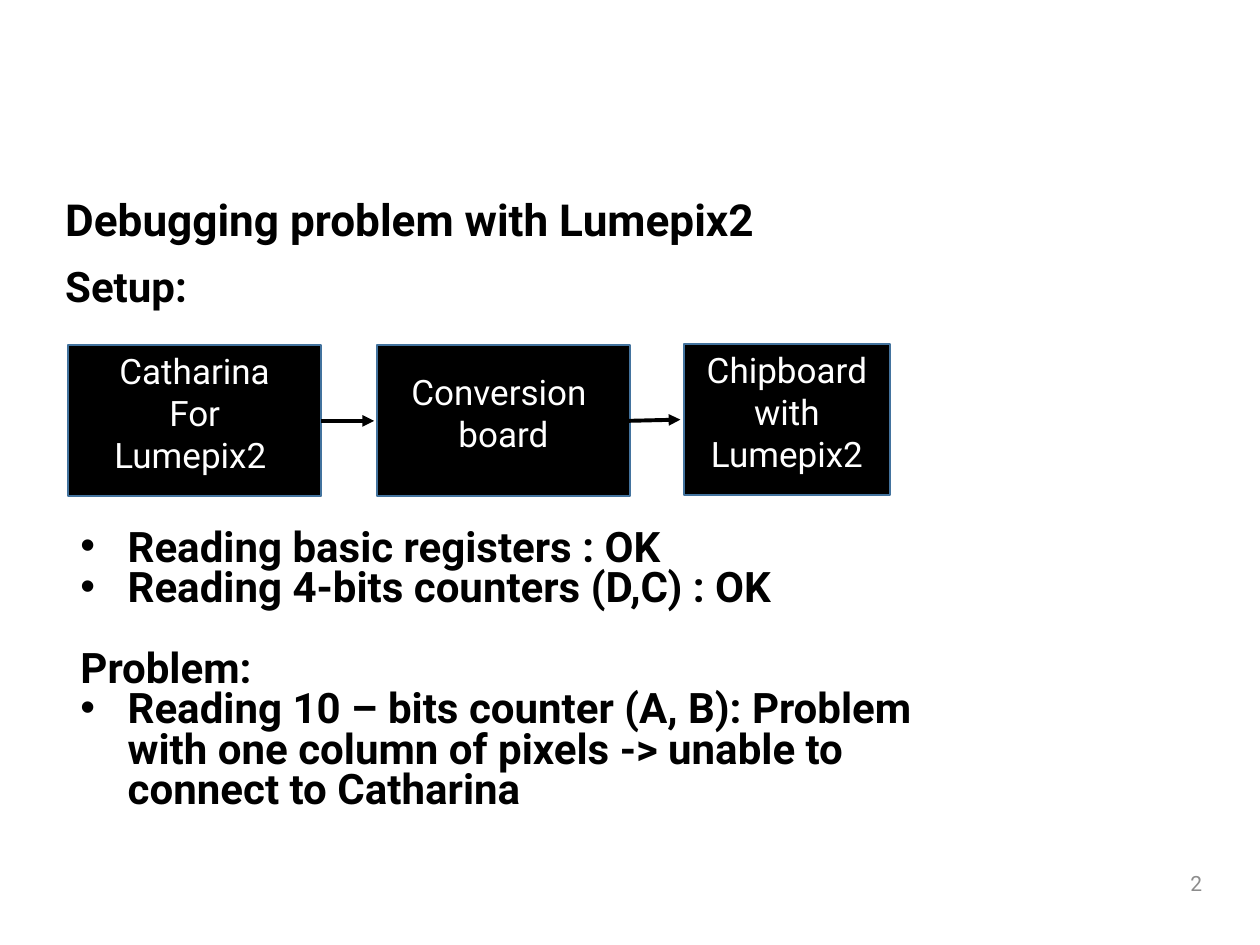
from typing import NamedTuple

from lxml.etree import SubElement
from pptx import Presentation
from pptx.dml.color import RGBColor
from pptx.enum.shapes import MSO_CONNECTOR as Conn, MSO_SHAPE as Shape
from pptx.enum.text import MSO_ANCHOR as Anchor, PP_ALIGN as Align
from pptx.oxml.ns import qn
from pptx.util import Pt

BLACK = RGBColor(0x00, 0x00, 0x00)
WHITE = RGBColor(0xFF, 0xFF, 0xFF)
GRAY = RGBColor(0x8C, 0x8C, 0x8C)
BORDER = RGBColor(0x43, 0x73, 0x9E)
FONT = "Roboto"
INDENT = 27


class Rect(NamedTuple):
    x: float
    y: float
    w: float
    h: float


class Para(NamedTuple):
    text: str
    bullet: bool = False
    before: float = 0


class Block(NamedTuple):
    rect: Rect
    paras: list[Para]
    size: float
    spacing: float = 1.0
    color: RGBColor = BLACK
    bold: bool = True
    align: Align = Align.LEFT
    anchor: Anchor = Anchor.TOP


class Stage(NamedTuple):
    rect: Rect
    lines: list[str]


class Arrow(NamedTuple):
    x1: float
    y1: float
    x2: float
    y2: float


# Slide content
BLOCKS = [
    Block(Rect(532, 490.3, 162, 28.8), [Para("2")], 12, color=GRAY,
          bold=False, align=Align.RIGHT, anchor=Anchor.MIDDLE),
    Block(Rect(30.2, 114.5, 457.2, 48.2),
          [Para("Debugging problem with Lumepix2")], 25.2, 0.7),
    Block(Rect(30.2, 148.3, 457.2, 48.2), [Para("Setup:")], 24, 0.9),
    Block(Rect(38.9, 299.5, 531.4, 201.6), [
        Para("Reading basic registers : OK", True),
        Para("Reading 4-bits counters (D,C) : OK", True),
        Para("Problem:", before=23),
        Para("Reading 10 – bits counter (A, B): Problem with one column "
             "of pixels -> unable to connect to Catharina", True),
    ], 24, 0.8),
]
STAGES = [
    Stage(Rect(38.9, 197.3, 144.7, 86.4), ["Catharina", "For", "Lumepix2 "]),
    Stage(Rect(215.3, 197.3, 144.7, 86.4), ["Conversion ", "board"]),
    Stage(Rect(391, 196.6, 117.4, 86.4), ["Chipboard", "with", "Lumepix2"]),
]
ARROWS = [Arrow(183.6, 240.5, 213.8, 240.5), Arrow(358.6, 240.5, 388.8, 239.8)]


def set_attrs(obj, values: dict) -> None:
    for name, value in values.items():
        setattr(obj, name, value)


def add_run(p, text: str, size: float, color: RGBColor, bold: bool) -> None:
    r = p.add_run()
    r.text = text
    set_attrs(r.font, {"name": FONT, "size": Pt(size), "bold": bold})
    r.font.color.rgb = color


def add_bullet(p) -> None:
    pPr = p._p.get_or_add_pPr()
    pPr.set("marL", str(Pt(INDENT)))
    pPr.set("indent", str(-Pt(INDENT)))
    SubElement(pPr, qn("a:buFont"), typeface="Arial")
    SubElement(pPr, qn("a:buChar"), char="•")


def next_para(tf, i: int):
    return tf.paragraphs[0] if i == 0 else tf.add_paragraph()


def add_block(s, block: Block) -> None:
    tf = s.shapes.add_textbox(*map(Pt, block.rect)).text_frame
    set_attrs(tf, {"word_wrap": True, "vertical_anchor": block.anchor})
    for i, para in enumerate(block.paras):
        p = next_para(tf, i)
        set_attrs(p, {"alignment": block.align, "line_spacing": block.spacing,
                      "space_before": Pt(para.before)})
        if para.bullet:
            add_bullet(p)
        add_run(p, para.text, block.size, block.color, block.bold)


def add_stage(s, stage: Stage) -> None:
    sp = s.shapes.add_shape(Shape.RECTANGLE, *map(Pt, stage.rect))
    sp.shadow.inherit = False
    sp.fill.solid()
    sp.fill.fore_color.rgb = BLACK
    sp.line.color.rgb = BORDER
    sp.line.width = Pt(1)
    tf = sp.text_frame
    # The deeper bottom margin lifts the label above the middle
    set_attrs(tf, {"word_wrap": True, "vertical_anchor": Anchor.MIDDLE,
                   "margin_left": Pt(4.3), "margin_right": Pt(4.3),
                   "margin_top": Pt(2.2), "margin_bottom": Pt(11.5)})
    for i, line in enumerate(stage.lines):
        p = next_para(tf, i)
        p.alignment = Align.CENTER
        add_run(p, line, 20, WHITE, False)


def add_arrow(s, arrow: Arrow) -> None:
    cx = s.shapes.add_connector(Conn.STRAIGHT, *map(Pt, arrow))
    cx.line.color.rgb = BLACK
    cx.line.width = Pt(2.25)
    SubElement(cx.line._get_or_add_ln(), qn("a:tailEnd"), type="triangle")
    SubElement(cx._element.spPr, qn("a:effectLst"))


def main() -> None:
    prs = Presentation()
    set_attrs(prs, {"slide_width": Pt(720), "slide_height": Pt(540)})
    s = prs.slides.add_slide(prs.slide_layouts[6])

    # Setup diagram
    for stage in STAGES:
        add_stage(s, stage)
    for arrow in ARROWS:
        add_arrow(s, arrow)

    # Headings, findings and page number
    for block in BLOCKS:
        add_block(s, block)

    prs.save("out.pptx")


if __name__ == "__main__":
    main()
